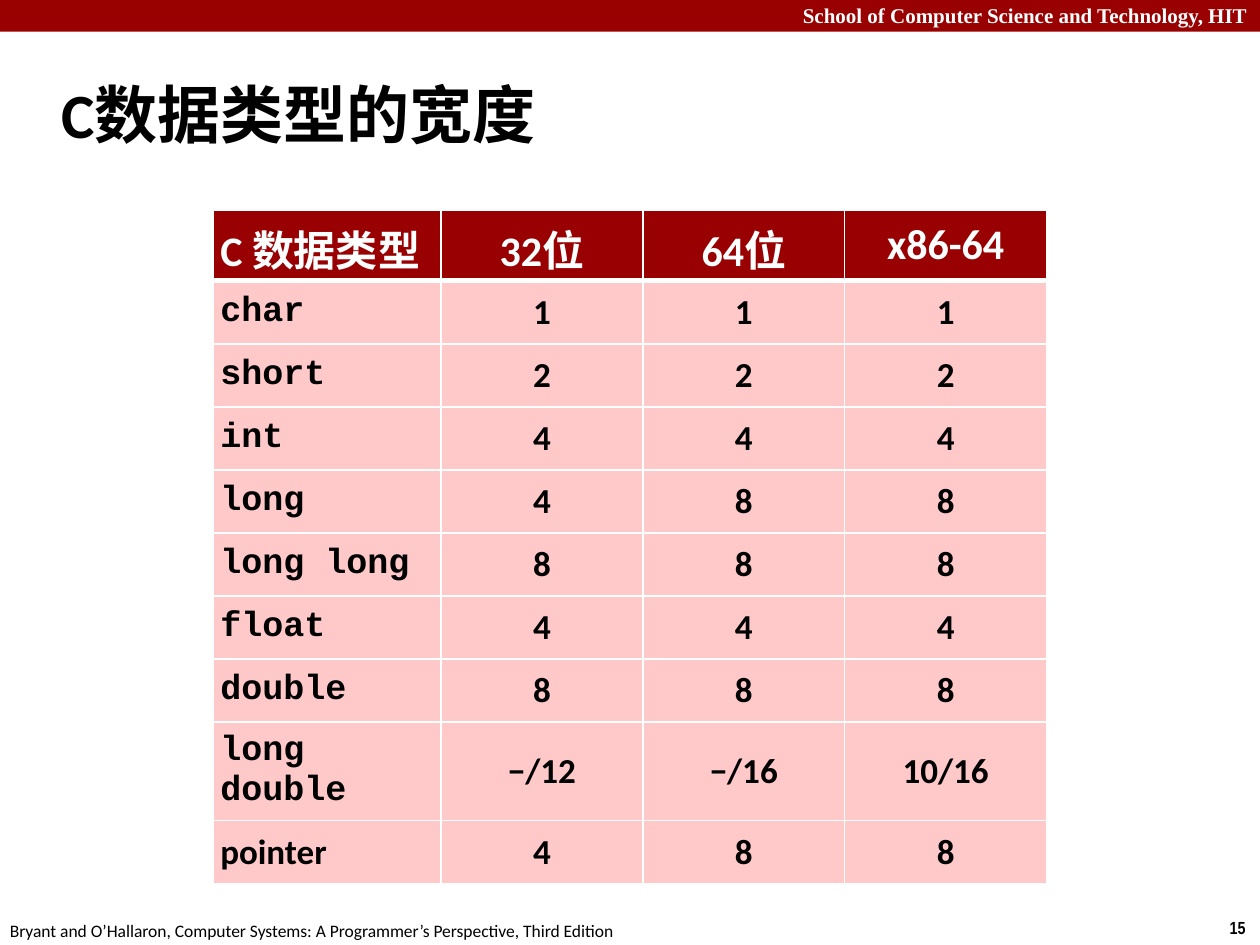
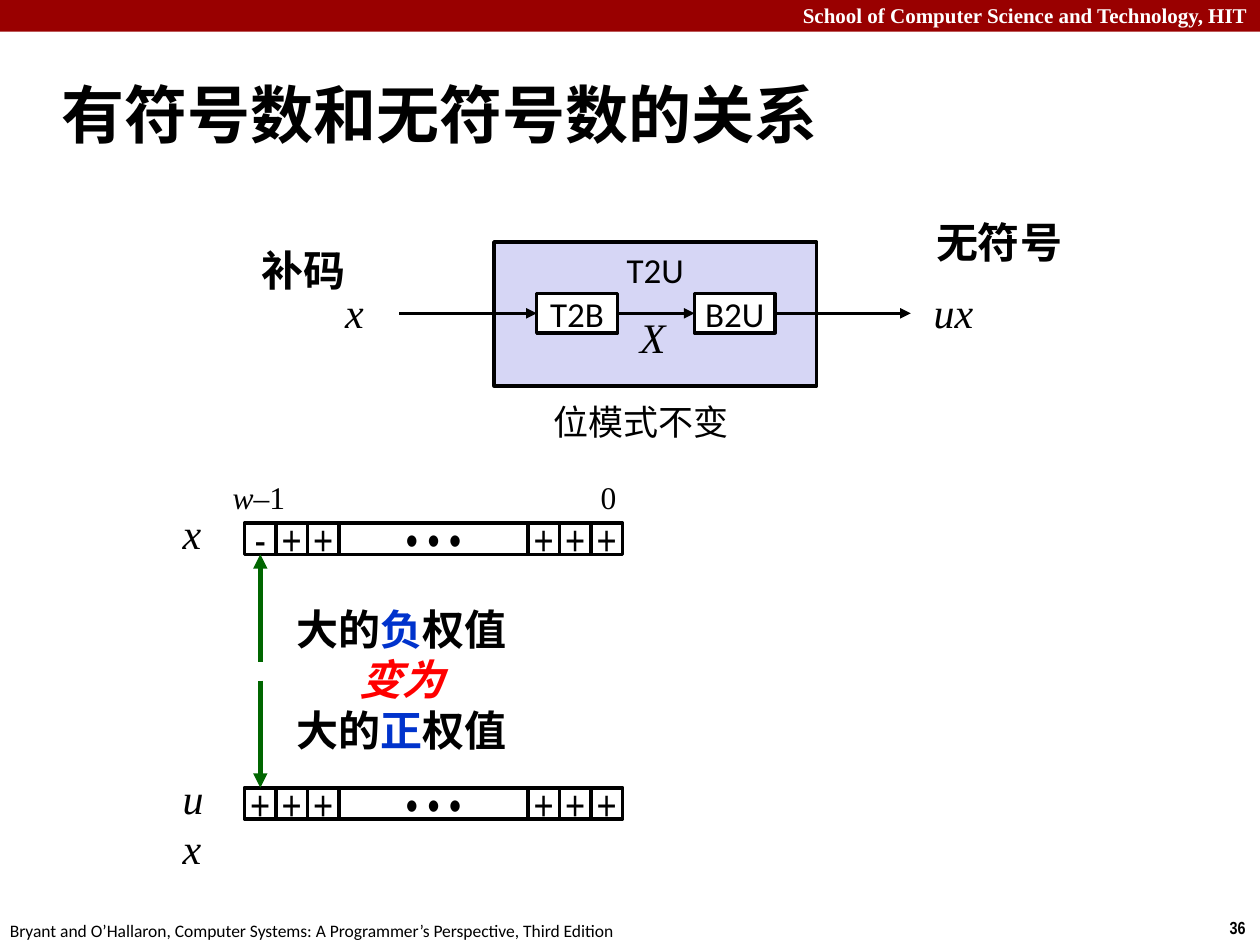
from lxml import etree
from pptx import Presentation
from pptx.dml.color import RGBColor as RGB
from pptx.enum.shapes import MSO_CONNECTOR as CONN, MSO_SHAPE as SHAPE
from pptx.enum.text import MSO_ANCHOR as ANCHOR, PP_ALIGN as ALIGN
from pptx.oxml.ns import qn
from pptx.util import Cm, Pt

C = {"band": "990000", "head": "980002", "row": "FFC8C9", "box": "D6D6F5",
     "black": "000000", "white": "FFFFFF", "green": "006600",
     "blue": "0033CC", "red": "FF0000"}
SANS, SERIF, NARROW, MONO = "Calibri", "Times New Roman", "Arial Narrow", "Courier New"

# Text formats
BASE = {"name": SANS, "size": Pt(24), "bold": False, "italic": False, "color": "black"}
TITLE = {"size": Pt(36), "bold": True}
SCHOOL = {"name": SERIF, "size": Pt(12), "bold": True, "color": "white"}
NUMBER = {"name": NARROW, "size": Pt(10), "bold": True}
FOOTER = {"size": Pt(10)}
BOLD = {"bold": True}
VAR = {"name": SERIF, "italic": True}
INDEX = {"name": SERIF, "size": Pt(18)}
BIT = {"name": NARROW}
BLOCK = {"size": Pt(20)}


def write(tf, content, fmt, align):
    """Write a string, or a list of paragraphs made of (text, changes) runs."""
    paragraphs = [[(content, {})]] if isinstance(content, str) else content
    for i, runs in enumerate(paragraphs):
        p = tf.paragraphs[0] if i == 0 else tf.add_paragraph()
        p.alignment = align
        for text, changes in runs:
            r = p.add_run()
            r.text = text
            values = {**BASE, **fmt, **changes}
            r.font.color.rgb = RGB.from_string(C[values.pop("color")])
            for key, value in values.items():
                setattr(r.font, key, value)


def add_box(shapes, at, content, fmt, align=ALIGN.LEFT, wrap=False,
            anchor=ANCHOR.TOP, fill=None):
    """Add a text box, or an outlined rectangle when a fill is given."""
    at = [Cm(v) if isinstance(v, float) else v for v in at]
    if fill:
        sp = shapes.add_shape(SHAPE.RECTANGLE, *at)
        sp.shadow.inherit = False
        sp.fill.solid()
        sp.fill.fore_color.rgb = RGB.from_string(C[fill])
        sp.line.color.rgb = RGB.from_string(C["black"])
        sp.line.width = Pt(2)
    else:
        sp = shapes.add_textbox(*at)
    tf = sp.text_frame
    tf.word_wrap = wrap
    tf.vertical_anchor = anchor
    write(tf, content, fmt, align)
    return sp


prs = Presentation()
prs.slide_width, prs.slide_height = Cm(25.4), Cm(19.05)

# Shared band, title, footer and number
slides = []
for title, number in (("C数据类型的宽度", "15"), ("有符号数和无符号数的关系", "36")):
    s = prs.slides.add_slide(prs.slide_layouts[6])
    band = s.shapes.add_shape(SHAPE.RECTANGLE, 0, 0, prs.slide_width, Cm(0.64))
    band.shadow.inherit = False
    band.fill.solid()
    band.fill.fore_color.rgb = RGB.from_string(C["band"])
    band.line.fill.background()
    add_box(s.shapes, (0.0, -0.08, 25.4, 0.76),
            "School of Computer Science and Technology, HIT", SCHOOL, ALIGN.RIGHT, True)
    add_box(s.shapes, (24.54, 18.36, 0.86, 0.69), number, NUMBER)
    add_box(s.shapes, (-0.05, 18.42, 12.9, 0.69),
            "Bryant and O’Hallaron, Computer Systems: A Programmer’s Perspective, Third Edition",
            FOOTER)
    add_box(s.shapes, (0.99, 1.22, 24.41, 2.11), title, TITLE, wrap=True,
            anchor=ANCHOR.MIDDLE)
    slides.append(s)
width_slide, relation_slide = slides

# Slide 1: table of type widths
rows = [
    ("C 数据类型", "32位", "64位", "x86-64"),
    ("char", "1", "1", "1"),
    ("short", "2", "2", "2"),
    ("int", "4", "4", "4"),
    ("long", "4", "8", "8"),
    ("long long", "8", "8", "8"),
    ("float", "4", "4", "4"),
    ("double", "8", "8", "8"),
    ("long double", "−/12", "−/16", "10/16"),
    ("pointer", "4", "8", "8"),
]
table = width_slide.shapes.add_table(len(rows), 4, Cm(4.29), Cm(4.24),
                                     Cm(16.81), Cm(12.85)).table
for i, col in enumerate(table.columns):
    col.width = Cm(4.07 if i else 4.6)
for i, row in enumerate(table.rows):
    row.height = Cm(1.27 if i else 1.42)

for i, values in enumerate(rows):
    for j, text in enumerate(values):
        cell = table.cell(i, j)
        cell.vertical_anchor = ANCHOR.MIDDLE
        for side in ("left", "right", "top", "bottom"):
            setattr(cell, "margin_" + side, Cm(0.15))
        cell.fill.solid()
        cell.fill.fore_color.rgb = RGB.from_string(C["row" if i else "head"])
        fmt = {"bold": True, "size": Pt(20 if i else 24),
               "color": "black" if i else "white",
               "name": MONO if i and j == 0 and text != "pointer" else SANS}
        write(cell.text_frame, text, fmt, ALIGN.CENTER if j else ALIGN.LEFT)
        # White rules, thicker under the header
        tcPr = cell._tc.get_or_add_tcPr()
        for k, side in enumerate("LRTB"):
            thick = (i, side) in ((0, "B"), (1, "T"))
            ln = etree.Element(qn("a:ln" + side), w=str(Pt(3 if thick else 1)))
            fill = etree.SubElement(ln, qn("a:solidFill"))
            etree.SubElement(fill, qn("a:srgbClr"), val=C["white"])
            tcPr.insert(k, ln)

# Slide 2: conversion blocks
shapes = relation_slide.shapes
add_box(shapes, (9.96, 4.88, 6.5, 2.9), "T2U", BLOCK, ALIGN.CENTER, fill="box")
t2b, b2u = [add_box(shapes, (x, 5.92, 1.63, 0.79), text, BLOCK, ALIGN.CENTER,
                    anchor=ANCHOR.MIDDLE, fill="white")
            for x, text in ((10.82, "T2B"), (14.0, "B2U"))]

# Bit rows: three bits, a gap six bits wide, three bits
bit = Cm(7.62) // 12
sign_bits = []
for top, sign in ((10.54, "-"), (15.88, "+")):
    group = shapes.add_group_shape()
    x = Cm(4.93)
    cells = []
    for text in (sign, "+", "+", "•\u00a0•\u00a0•", "+", "+", "+"):
        w = bit if len(text) == 1 else 6 * bit
        cells.append(add_box(group.shapes, (x, top, w, bit), text, BIT, ALIGN.CENTER,
                             anchor=ANCHOR.MIDDLE, fill="white"))
        x += w
    sign_bits.append(cells[0])
signed_bit, unsigned_bit = sign_bits

# Labels
for at, content, fmt in (
    ((5.03, 4.8, 2.21, 1.27), "补码", BOLD),
    ((18.62, 4.24, 3.07, 1.27), "无符号", BOLD),
    ((10.9, 7.95, 4.06, 1.09), "位模式不变", BLOCK),
    ((6.71, 5.66, 0.89, 1.27), "x", VAR),
    ((18.57, 5.66, 1.32, 1.27), "ux", VAR),
    ((12.65, 6.15, 1.02, 1.27), "X", VAR),
    ((3.43, 10.11, 0.79, 1.02), "x", VAR),
    ((4.44, 9.52, 1.57, 1.02), [[("w", {"italic": True}), ("–1", {})]], INDEX),
    ((11.86, 9.52, 0.84, 1.02), "0", INDEX),
):
    add_box(shapes, at, content, fmt)
add_box(shapes, (3.43, 15.44, 1.12, 1.02), "ux", VAR, wrap=True)

# Change of weight
blue = {"color": "blue"}
weights = [
    [("大的", {}), ("负", blue), ("权值", {})],
    [("变为", {"color": "red", "italic": True})],
    [("大的", {}), ("正", blue), ("权值", {})],
]
sp = add_box(shapes, (5.56, 12.04, 5.08, 3.33), weights, BOLD, ALIGN.CENTER, True)
sp.text_frame.margin_left = sp.text_frame.margin_right = Cm(0.13)

# Arrows: free start or end point, joined shape and side at the other
flow_y = t2b.top + t2b.height // 2
sign_x = signed_bit.left + bit // 2
for start, end, begin_at, end_at, color, width in (
    ((Cm(8.05), flow_y), (t2b.left, flow_y), None, (t2b, 1), "black", 2),
    ((t2b.left, flow_y), (b2u.left, flow_y), (t2b, 3), (b2u, 1), "black", 2),
    ((b2u.left, flow_y), (Cm(18.36), flow_y), (b2u, 3), None, "black", 2),
    ((sign_x, Cm(13.34)), (sign_x, Cm(11.18)), None, (signed_bit, 2), "green", 2.75),
    ((sign_x, Cm(13.72)), (sign_x, Cm(15.88)), None, (unsigned_bit, 0), "green", 2.75),
):
    arrow = shapes.add_connector(CONN.STRAIGHT, *start, *end)
    if begin_at:
        arrow.begin_connect(*begin_at)
    if end_at:
        arrow.end_connect(*end_at)
    arrow.line.color.rgb = RGB.from_string(C[color])
    arrow.line.width = Pt(width)
    etree.SubElement(arrow.line._get_or_add_ln(), qn("a:tailEnd"), type="triangle")
    etree.SubElement(arrow._element.spPr, qn("a:effectLst"))

prs.save("out.pptx")
